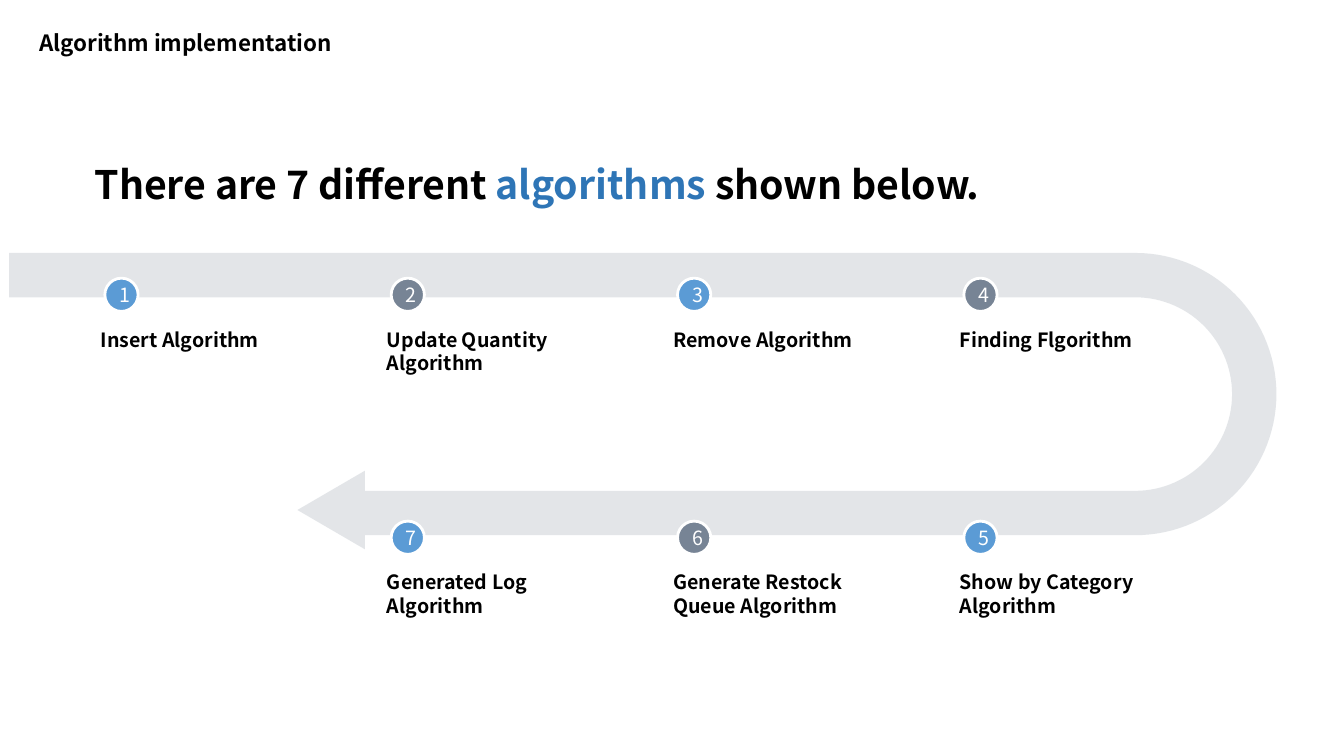
from math import cos, pi, sin

from lxml.etree import SubElement
from pptx import Presentation
from pptx.dml.color import RGBColor
from pptx.enum.shapes import MSO_SHAPE as Shape
from pptx.enum.text import MSO_ANCHOR as Anchor, PP_ALIGN as Align
from pptx.oxml.ns import qn
from pptx.util import Pt

PX = 9144  # EMU per px, 100 px to the inch

BLACK = RGBColor(0x00, 0x00, 0x00)
WHITE = RGBColor(0xFF, 0xFF, 0xFF)
BLUE = RGBColor(0x5B, 0x9B, 0xD5)
DARK_BLUE = RGBColor(0x2E, 0x75, 0xB6)
GRAY = RGBColor(0x77, 0x84, 0x95)
SLATE = RGBColor(0x44, 0x54, 0x6A)

FIRST_LEFT, COLUMN_STEP = 104, 284
# (column, top of the number circle, name), in order of number
STEPS = [
    (0, 276, "Insert Algorithm"),
    (1, 276, "Update Quantity Algorithm"),
    (2, 276, "Remove Algorithm"),
    (3, 276, "Finding Flgorithm"),
    (3, 517, "Show by Category Algorithm"),
    (2, 517, "Generate Restock Queue Algorithm"),
    (1, 517, "Generated Log Algorithm"),
]


def write_text(frame, *parts, size=14, bold=True, align=Align.LEFT, anchor=Anchor.TOP):
    """Write (text, color) parts as the runs of one paragraph."""
    frame.word_wrap = True
    frame.vertical_anchor = anchor
    paragraph = frame.paragraphs[0]
    paragraph.alignment = align
    for text, color in parts:
        run = paragraph.add_run()
        run.text = text
        run.font.name = SlideBuilder.FONT
        run.font.size = Pt(size)
        run.font.bold = bold
        run.font.color.rgb = color


def half_circle(center_x, center_y, radius, steps=60):
    """Points of the right half of a circle, from top to bottom."""
    angles = [pi * step / steps - pi / 2 for step in range(steps + 1)]
    return [(center_x + radius * cos(a), center_y + radius * sin(a)) for a in angles]


class SlideBuilder:
    FONT = "Noto Sans CJK SC"

    def __init__(self, slide):
        self.shapes = slide.shapes

    def text_box(self, left, top, width, height, *parts, **style):
        box = self.shapes.add_textbox(left * PX, top * PX, width * PX, height * PX)
        write_text(box.text_frame, *parts, **style)

    def number_circle(self, left, top, number, color, size=33):
        circle = self.shapes.add_shape(
            Shape.ROUNDED_RECTANGLE, left * PX, top * PX, size * PX, size * PX)
        circle.adjustments[0] = 0.5
        circle.shadow.inherit = False
        circle.fill.solid()
        circle.fill.fore_color.rgb = color
        circle.line.color.rgb = WHITE
        circle.line.width = Pt(2)
        write_text(circle.text_frame, (str(number), WHITE), bold=False,
                   align=Align.CENTER, anchor=Anchor.MIDDLE)

    def outline(self, points, color, opacity):
        points = [(round(x * PX), round(y * PX)) for x, y in points]
        builder = self.shapes.build_freeform(*points[0])
        builder.add_line_segments(points[1:], close=True)
        shape = builder.convert_to_shape()
        shape.shadow.inherit = False
        shape.line.fill.background()
        shape.fill.solid()
        shape.fill.fore_color.rgb = color
        color_element = shape.fill._xPr.find(qn("a:solidFill"))[0]
        SubElement(color_element, qn("a:alpha")).set("val", str(opacity * 1000))

    def u_turn_arrow(self):
        start, bend, middle, outer, inner = 9, 1126, 391, 140, 96
        tip, head, head_top, head_bottom = 295, 362, 467, 545
        points = [(start, middle - outer)]
        points += half_circle(bend, middle, outer)
        points += [
            (head, middle + outer),
            (head, head_bottom),
            (tip, (head_top + head_bottom) / 2),
            (head, head_top),
            (head, middle + inner),
        ]
        points += reversed(half_circle(bend, middle, inner))
        points.append((start, middle - inner))
        self.outline(points, SLATE, opacity=15)

    def step(self, number, column, top, name):
        left = FIRST_LEFT + column * COLUMN_STEP
        self.text_box(left - 14, top + 44, 214, 57, (name, BLACK))
        self.number_circle(left, top, number, BLUE if number % 2 else GRAY)


def main():
    presentation = Presentation()
    presentation.slide_width = 1333 * PX
    presentation.slide_height = 750 * PX
    builder = SlideBuilder(presentation.slides.add_slide(presentation.slide_layouts[6]))

    builder.u_turn_arrow()
    builder.text_box(84, 154, 1164, 57, ("There are 7 different ", BLACK),
                     ("algorithms", DARK_BLUE), (" shown below.", BLACK), size=28)
    for number, (column, top, name) in enumerate(STEPS, start=1):
        builder.step(number, column, top, name)
    builder.text_box(29, 24, 361, 43, ("Algorithm implementation", BLACK), size=16)

    presentation.save("out.pptx")


if __name__ == "__main__":
    main()
